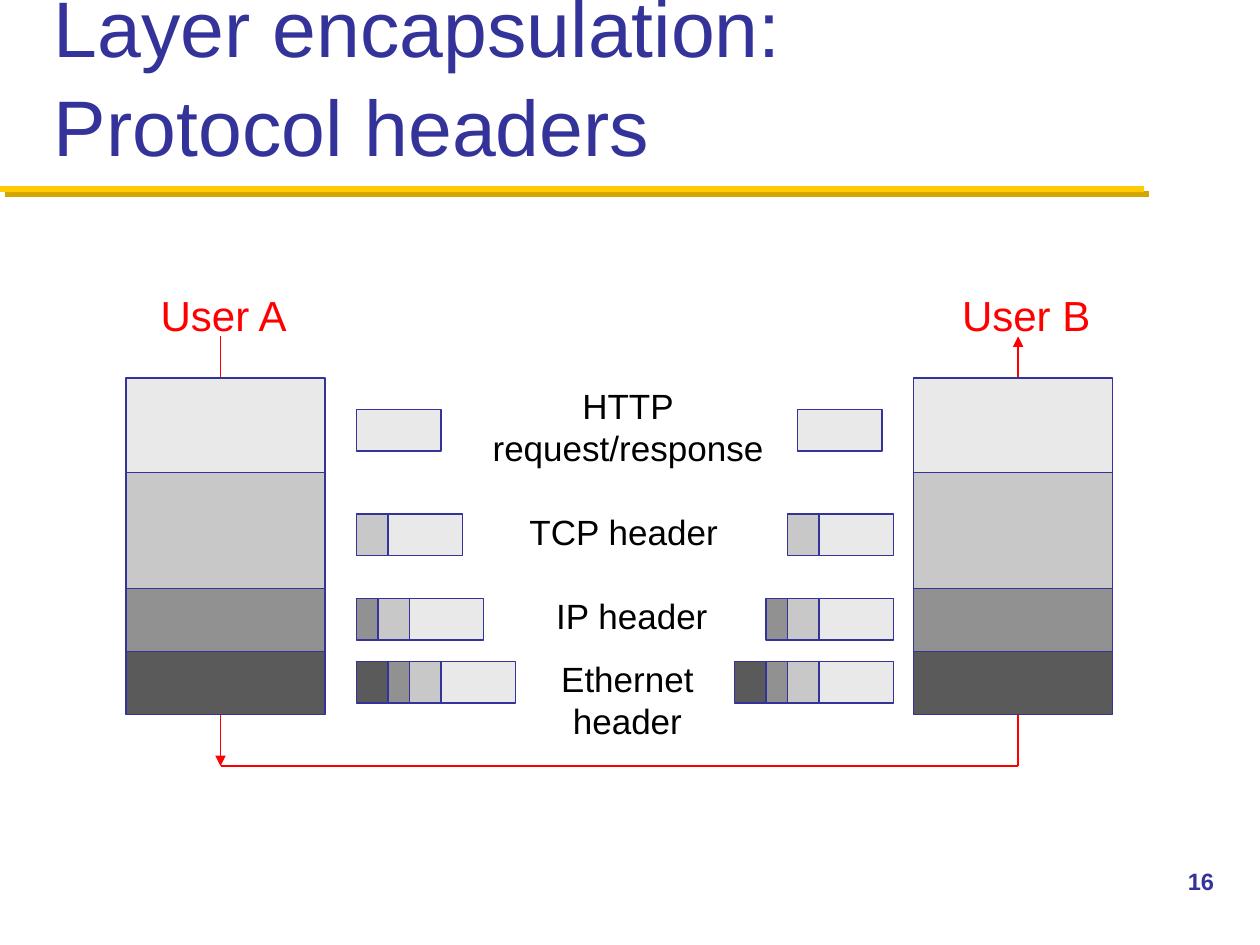
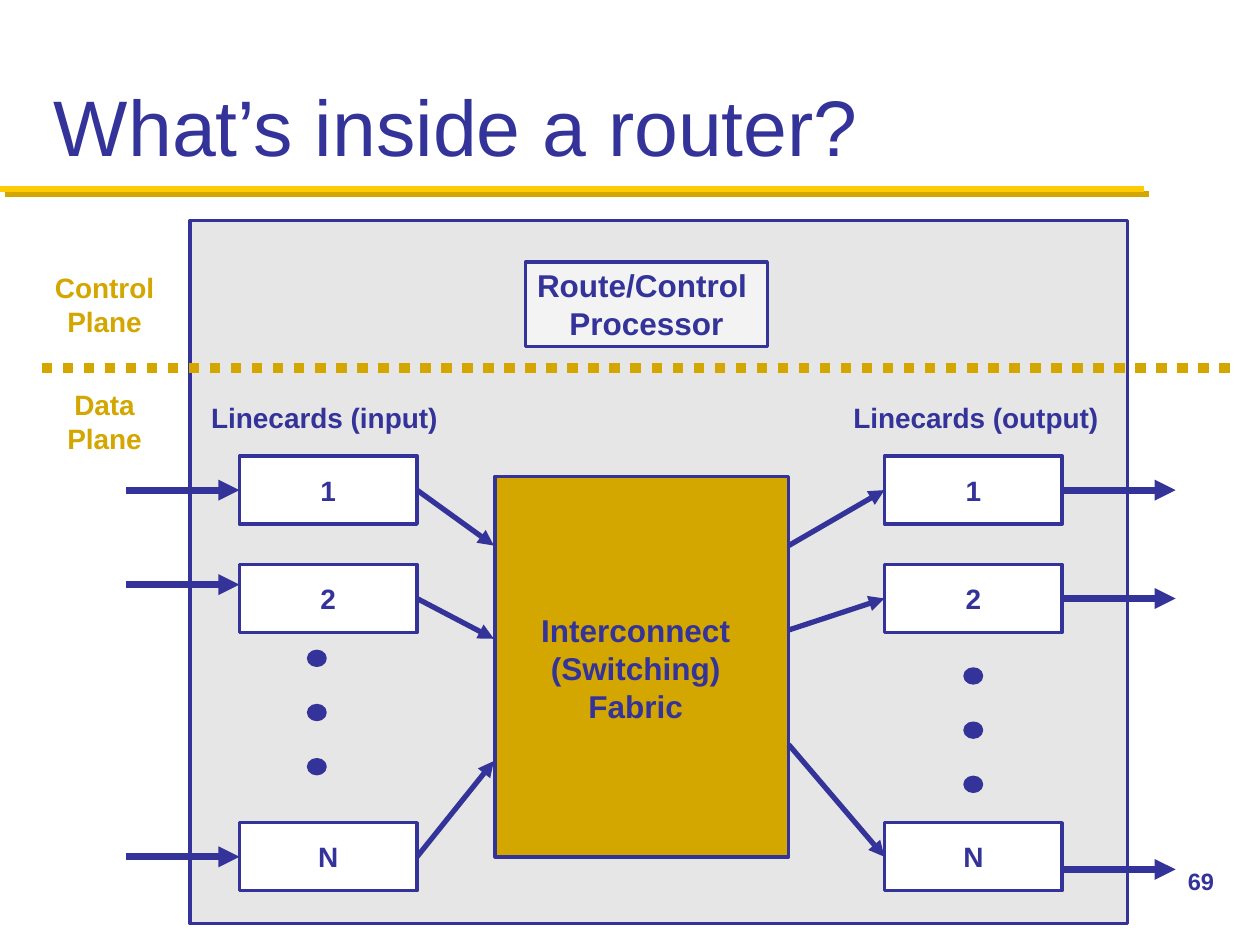
from lxml.etree import SubElement
from pptx import Presentation
from pptx.dml.color import RGBColor
from pptx.enum.dml import MSO_LINE
from pptx.enum.shapes import MSO_CONNECTOR, MSO_SHAPE
from pptx.enum.text import MSO_ANCHOR, PP_ALIGN
from pptx.oxml.ns import qn
from pptx.util import Inches, Pt

FONT = "Arial"
INDIGO = RGBColor(0x33, 0x33, 0x99)
YELLOW = RGBColor(0xFF, 0xCB, 0x05)
GOLD = RGBColor(0xD3, 0xA6, 0x00)
RED = RGBColor(0xFF, 0x00, 0x00)
BLACK = RGBColor(0x00, 0x00, 0x00)
WHITE = RGBColor(0xFF, 0xFF, 0xFF)
PANEL_GRAY = RGBColor(0xE6, 0xE6, 0xE6)
PROCESSOR_GRAY = RGBColor(0xF3, 0xF3, 0xF3)
HTTP_GRAY = RGBColor(0xE9, 0xE9, 0xE9)
TCP_GRAY = RGBColor(0xC8, 0xC8, 0xC8)
IP_GRAY = RGBColor(0x91, 0x91, 0x91)
ETHERNET_GRAY = RGBColor(0x5A, 0x5A, 0x5A)


def draw_box(page, place, text="", size=16, color=INDIGO, bold=False, fill=None,
             weight=2, kind=MSO_SHAPE.RECTANGLE, align=PP_ALIGN.CENTER,
             anchor=MSO_ANCHOR.TOP, wrap=False):
    """Draw a filled, outlined shape, or a plain text box when fill is None."""
    place = [Inches(value) for value in place]
    if fill is None:
        box = page.shapes.add_textbox(*place)
    else:
        box = page.shapes.add_shape(kind, *place)
        box.shadow.inherit = False
        box.fill.solid()
        box.fill.fore_color.rgb = fill
        box.line.color.rgb = INDIGO
        box.line.width = Pt(weight)
        anchor = MSO_ANCHOR.MIDDLE
    if text:
        frame = box.text_frame
        frame.word_wrap = wrap
        frame.vertical_anchor = anchor
        frame.text = text
        for para in frame.paragraphs:
            para.alignment = align
            para.font.name = FONT
            para.font.size = Pt(size)
            para.font.bold = bold
            para.font.color.rgb = color
    return box


def draw_line(page, start, end, color, weight, arrow=False, dash=None):
    line = page.shapes.add_connector(
        MSO_CONNECTOR.STRAIGHT, *[Inches(value) for value in (*start, *end)])
    line.line.color.rgb = color
    line.line.width = Pt(weight)
    if dash:
        line.line.dash_style = dash
    properties = line.element.spPr
    if arrow:
        SubElement(properties.find(qn("a:ln")), qn("a:tailEnd"), type="triangle")
    SubElement(properties, qn("a:effectLst"))


deck = Presentation()
deck.slide_width, deck.slide_height = Inches(10), Inches(7.5)

# Shared frame: title, gold double rule and page number
pages = []
for title, number in (("Layer encapsulation:\nProtocol headers", "16"),
                      ("What’s inside a router?", "69")):
    page = deck.slides.add_slide(deck.slide_layouts[6])
    for shift, color in ((0.04, GOLD), (0, YELLOW)):
        draw_line(page, (shift, 1.5 + shift), (9.08 + shift, 1.5 + shift), color, 3.5)
    heading = draw_box(page, (0.33, 0.17, 9.33, 1.25), title, 45,
                       align=PP_ALIGN.LEFT, anchor=MSO_ANCHOR.BOTTOM, wrap=True)
    for para in heading.text_frame.paragraphs:
        para.line_spacing = 1.05
    draw_box(page, (9.33, 6.83, 0.67, 0.5), number, 13.5, bold=True,
             align=PP_ALIGN.LEFT, wrap=True)
    pages.append(page)
headers_page, router_page = pages

# Protocol headers: path from user A to user B
draw_line(headers_page, (1.75, 2.67), (1.75, 6.08), RED, 0.75, arrow=True)
draw_line(headers_page, (8.08, 6.08), (8.08, 2.67), RED, 0.75, arrow=True)
draw_line(headers_page, (1.75, 6.08), (8.08, 6.08), RED, 0.75)

# Protocol stacks
for left in (1, 7.25):
    top = 3
    for height, gray in ((0.75, HTTP_GRAY), (0.92, TCP_GRAY),
                         (0.5, IP_GRAY), (0.5, ETHERNET_GRAY)):
        draw_box(headers_page, (left, top, 1.58, height), fill=gray, weight=0.75)
        top += height

# Packets grow by one header per layer; each part tucks under the header before it
OVERLAP = 0.08
PARTS = [(0.25, ETHERNET_GRAY), (0.17, IP_GRAY), (0.25, TCP_GRAY), (0.59, HTTP_GRAY)]
for header_count, top, lefts in ((0, 3.25, (2.83, 6.33)), (1, 4.08, (2.83, 6.25)),
                                 (2, 4.75, (2.83, 6.08)), (3, 5.25, (2.83, 5.83))):
    parts = PARTS[3 - header_count:]
    for left in lefts:
        edge = left + sum(width for width, gray in parts)
        for index, (width, gray) in reversed(list(enumerate(parts))):
            edge -= width
            tuck = OVERLAP if index else 0
            extra = OVERLAP if header_count == 0 else tuck
            draw_box(headers_page, (edge - tuck, top, width + extra, 0.33),
                     fill=gray, weight=0.75)

for place, label, size, color in (
        ((3.8, 3, 2.37, 0.77), "HTTP\nrequest/response", 20, BLACK),
        ((4.07, 4, 1.76, 0.44), "TCP header", 20, BLACK),
        ((4.13, 4.67, 1.77, 0.44), "IP header", 20, BLACK),
        ((4.35, 5.17, 1.26, 0.77), "Ethernet\nheader", 20, BLACK),
        ((1.17, 2.25, 1.21, 0.51), "User A", 24, RED),
        ((7.53, 2.25, 1.23, 0.51), "User B", 24, RED)):
    draw_box(headers_page, place, label, size, color)

# Router: chassis, switching fabric and processor
draw_box(router_page, (1.51, 1.75, 7.44, 5.58), fill=PANEL_GRAY)
draw_box(router_page, (3.93, 3.78, 2.33, 3.02), fill=GOLD)
draw_box(router_page, (4.19, 4.8, 1.71, 1.01), "Interconnect\n(Switching)\nFabric",
         18, bold=True)
draw_box(router_page, (4.17, 2.08, 1.92, 0.67), "Route/Control \nProcessor",
         18, bold=True, fill=PROCESSOR_GRAY)

# Linecards with their dots
for label, card_left, label_left, dot_left, dot_top in (
        ("Linecards (input)", 1.9, 1.32, 2.45, 5.17),
        ("Linecards (output)", 7.02, 6.49, 7.66, 5.31)):
    draw_box(router_page, (label_left, 3.13, 2.51, 0.37), label, bold=True, wrap=True)
    for name, top in (("1", 3.62), ("2", 4.48), ("N", 6.53)):
        draw_box(router_page, (card_left, top, 1.41, 0.54), name, bold=True, fill=WHITE)
    for step in range(3):
        draw_box(router_page, (dot_left, dot_top + 0.43 * step, 0.13, 0.11),
                 fill=INDIGO, kind=MSO_SHAPE.OVAL)

# Traffic: into a card, on to the fabric, on to a card, out
for card_y, entry_y, fabric_in, fabric_out, exit_y in (
        (3.89, 3.89, 4.33, 4.33, 3.89),
        (4.75, 4.64, 5.07, 5, 4.75),
        (6.8, 6.8, 6.04, 5.91, 6.9)):
    for start, end, weight in (((1, entry_y), (1.9, entry_y), 4),
                               ((3.31, card_y), (3.92, fabric_in), 3),
                               ((6.26, fabric_out), (7.02, card_y), 3),
                               ((8.43, exit_y), (9.33, exit_y), 4)):
        draw_line(router_page, start, end, INDIGO, weight, arrow=True)

# Border between the planes
draw_line(router_page, (0.33, 2.92), (9.83, 2.92), GOLD, 6, dash=MSO_LINE.ROUND_DOT)
for label, top in (("Control Plane", 2.1), ("Data Plane", 3.03)):
    draw_box(router_page, (0.33, top, 1, 0.64), label, color=GOLD, bold=True, wrap=True)

deck.save("out.pptx")
